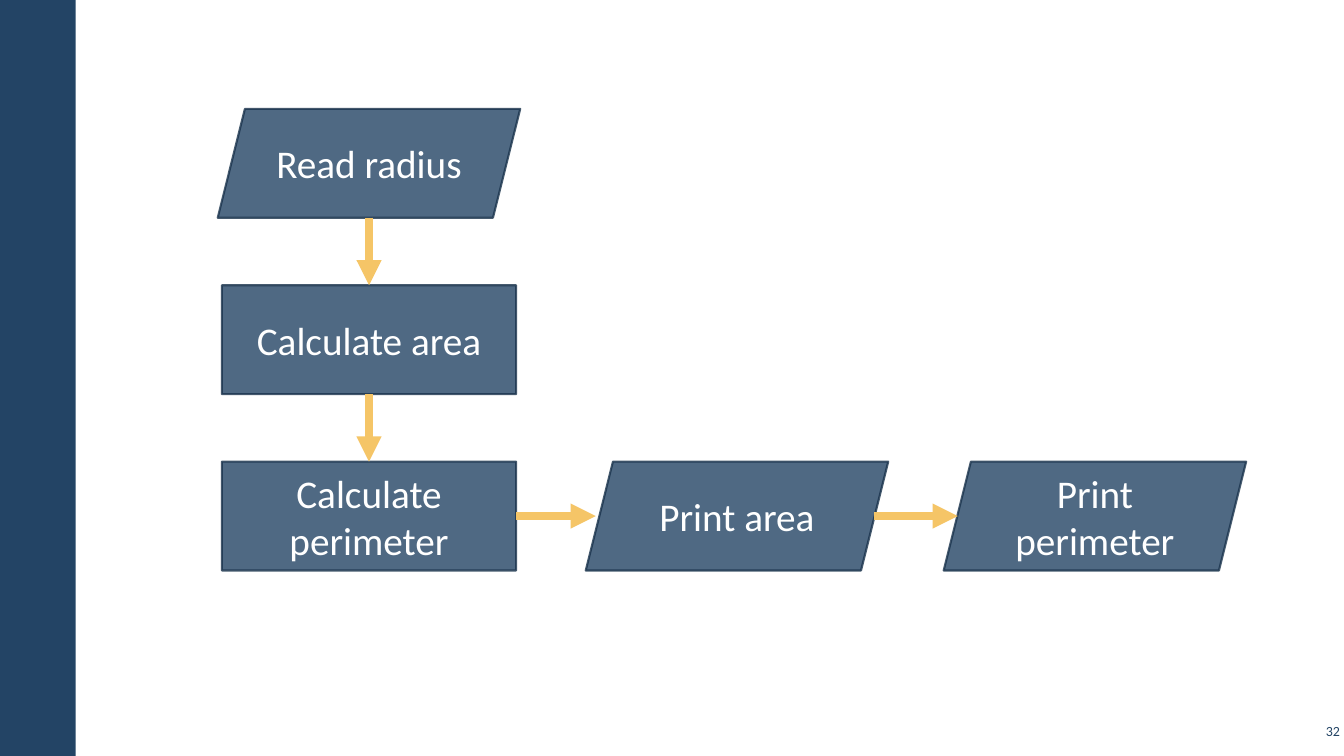
from lxml import etree
from pptx import Presentation
from pptx import util as u
from pptx.dml.color import RGBColor
from pptx.enum import shapes, text
from pptx.oxml.ns import qn

PX = 9144
NAVY = RGBColor(0x23, 0x44, 0x65)
DARK = RGBColor(0x1A, 0x33, 0x4C)
GOLD = RGBColor(0xF5, 0xC5, 0x67)
WHITE = RGBColor(0xFF, 0xFF, 0xFF)
RECT = shapes.MSO_SHAPE.RECTANGLE
SLANT = shapes.MSO_SHAPE.PARALLELOGRAM
STEP_H, ROW_PITCH = 108, 175
TOP, LEFT, BOTTOM, RIGHT = range(4)


def px(*lengths):
    return [u.Emu(n * PX) for n in lengths]


def write(sp, words, size=28, color=WHITE, align=text.PP_ALIGN.CENTER, inset=None):
    tf = sp.text_frame
    tf.word_wrap = True
    tf.vertical_anchor = text.MSO_ANCHOR.MIDDLE
    if inset is not None:
        tf.margin_left = tf.margin_top = tf.margin_right = tf.margin_bottom = px(inset)[0]
    p = tf.paragraphs[0]
    p.alignment = align
    r = p.add_run()
    r.text = words
    r.font.name, r.font.size = "Calibri", u.Pt(size)
    r.font.color.rgb = color


def add_box(s, kind, box, fill):
    sp = s.shapes.add_shape(kind, *px(*box))
    sp.shadow.inherit = False
    sp.fill.solid()
    sp.fill.fore_color.rgb = fill
    return sp


def add_step(s, kind, words, x, y):
    w = 300 if kind == SLANT else 292
    sp = add_box(s, kind, (x, y, w, STEP_H), NAVY)
    sp.line.color.rgb = DARK
    sp.line.width = u.Pt(1.5)
    for clr in sp._element.spPr.iter(qn("a:srgbClr")):
        etree.SubElement(clr, qn("a:alpha"), val="80000")
    write(sp, words)
    return sp


def add_arrow(s, start, end, begin=None, finish=None):
    c = s.shapes.add_connector(shapes.MSO_CONNECTOR.STRAIGHT, *px(*start, *end))
    if begin:
        c.begin_connect(*begin)
    if finish:
        c.end_connect(*finish)
    c.line.color.rgb = GOLD
    c.line.width = u.Pt(6)
    etree.SubElement(c.line._get_or_add_ln(), qn("a:tailEnd"), type="triangle")
    etree.SubElement(c._element.spPr, qn("a:effectLst"))


def add_side_bar(s, box):
    add_box(s, RECT, box, NAVY).line.fill.background()


def add_page_number(s, box, number):
    sp = s.shapes.add_textbox(*px(*box))
    write(sp, number, size=10, color=NAVY, align=text.PP_ALIGN.RIGHT, inset=4)


def add_flowchart(s, x, y):
    rows = [y + i * ROW_PITCH for i in range(3)]
    center, middle = x + 150, rows[2] + STEP_H // 2
    add_step(s, SLANT, "Read radius", x, rows[0])
    area = add_step(s, RECT, "Calculate area", x + 4, rows[1])
    perimeter = add_step(s, RECT, "Calculate perimeter", x + 4, rows[2])
    add_step(s, SLANT, "Print area", x + 365, rows[2])
    add_step(s, SLANT, "Print perimeter", x + 720, rows[2])
    add_arrow(s, (center, rows[0] + STEP_H), (center, rows[1]), finish=(area, TOP))
    add_arrow(s, (center, rows[1] + STEP_H), (center, rows[2]),
              begin=(area, BOTTOM), finish=(perimeter, TOP))
    add_arrow(s, (x + 296, middle), (x + 375, middle), begin=(perimeter, RIGHT))
    add_arrow(s, (x + 651, middle), (x + 734, middle))


def main():
    prs = Presentation()
    prs.slide_width, prs.slide_height = px(1333, 750)
    s = prs.slides.add_slide(prs.slide_layouts[6])
    add_side_bar(s, (0, 0, 75, 750))
    add_page_number(s, (1286, 714, 47, 22), "32")
    add_flowchart(s, 216, 108)
    prs.save("out.pptx")


if __name__ == "__main__":
    main()
